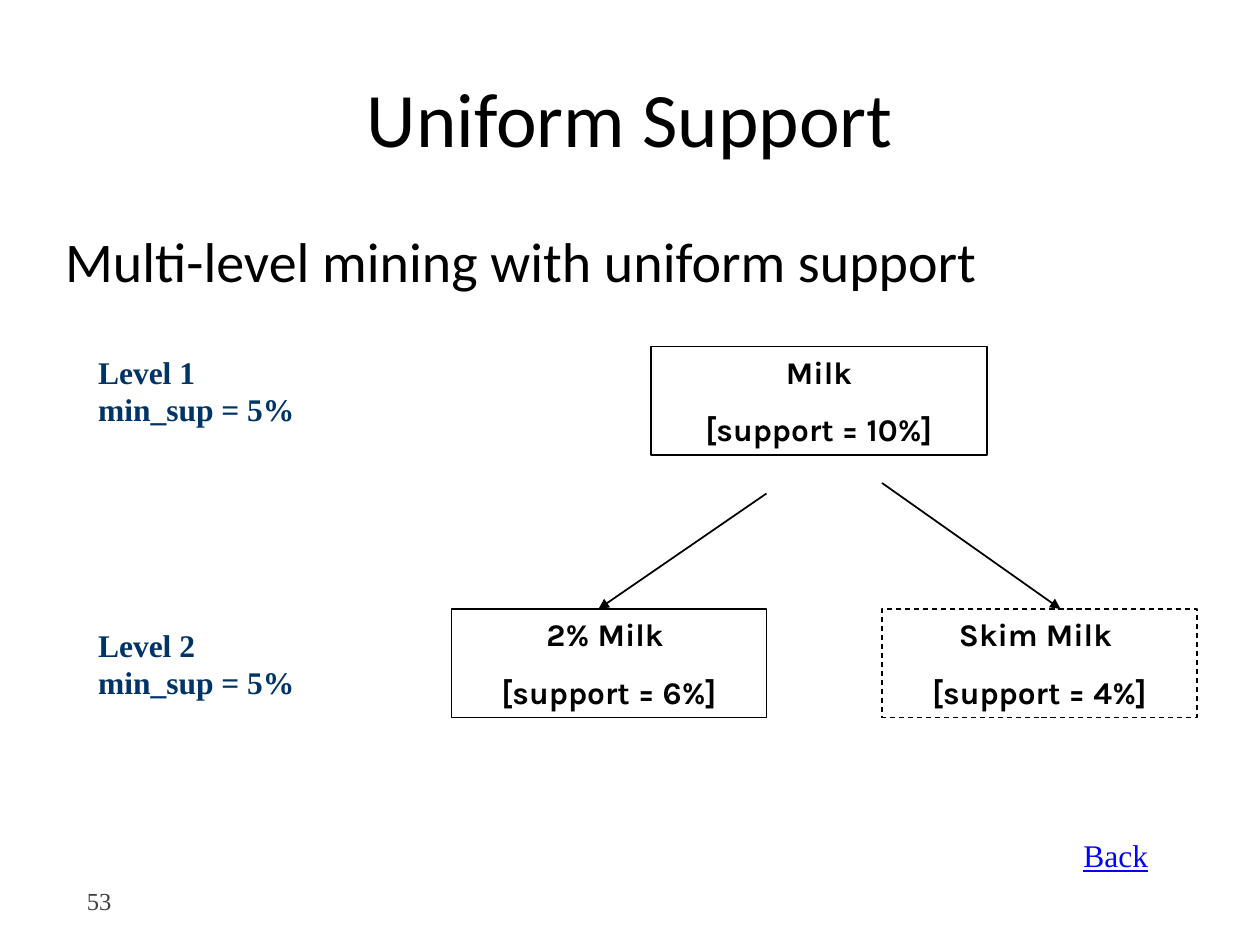
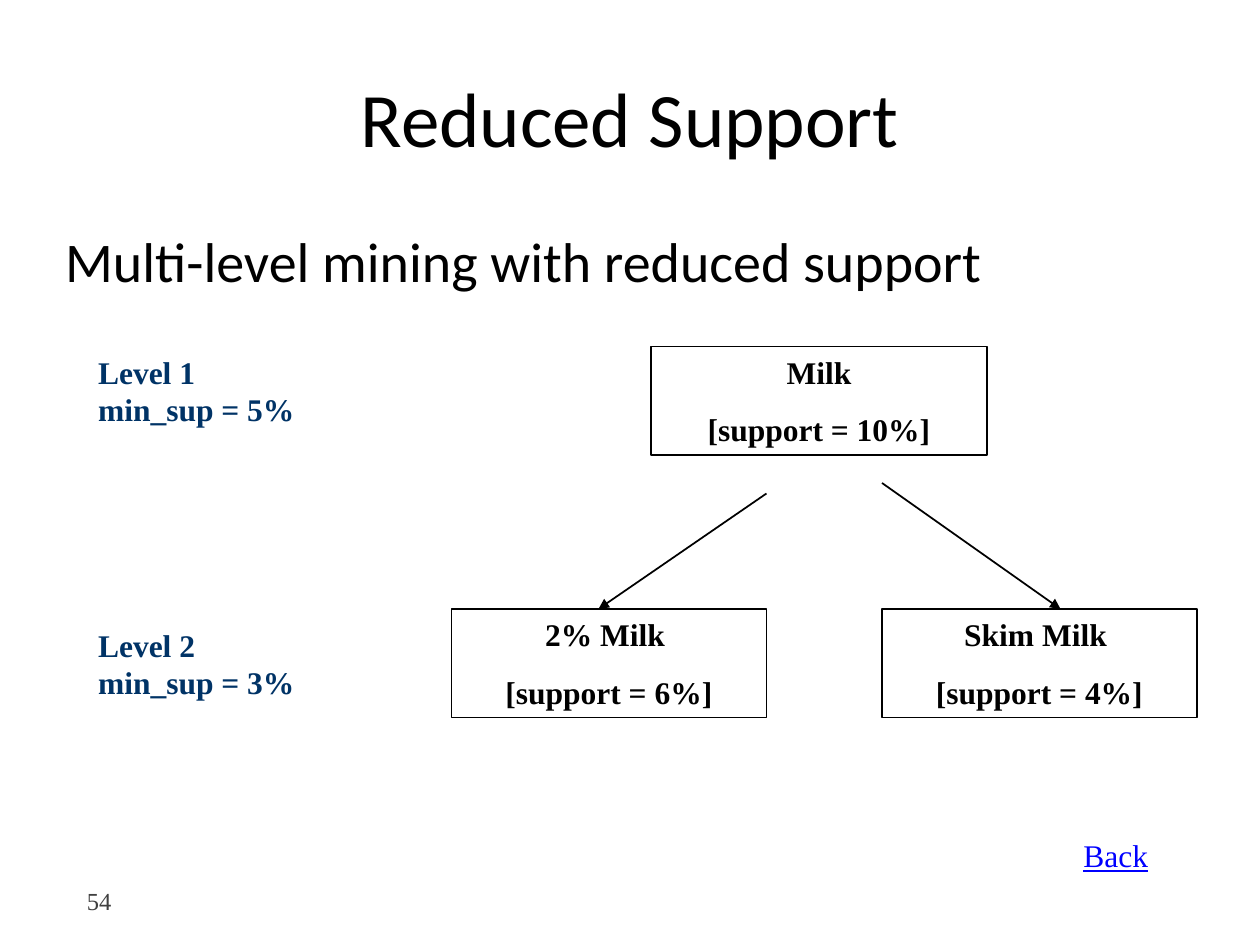
"""Build two slides comparing uniform and reduced support in multi-level mining."""

import dataclasses
import typing

import lxml.etree
import pptx
import pptx.dml.color
import pptx.enum.dml
import pptx.enum.shapes
import pptx.enum.text
import pptx.oxml.ns
import pptx.util

Pt = pptx.util.Pt
ALIGN = pptx.enum.text.PP_ALIGN
FIT = pptx.enum.text.MSO_AUTO_SIZE
ANCHOR = pptx.enum.text.MSO_ANCHOR
qn = pptx.oxml.ns.qn

BLACK = pptx.dml.color.RGBColor(0x00, 0x00, 0x00)
WHITE = pptx.dml.color.RGBColor(0xFF, 0xFF, 0xFF)
NAVY = pptx.dml.color.RGBColor(0x00, 0x33, 0x66)
LINK_BLUE = pptx.dml.color.RGBColor(0x00, 0x00, 0xFF)
GREY = pptx.dml.color.RGBColor(0x40, 0x40, 0x40)

SERIF = "Times New Roman"
HEADING = "Calibri"
KARLA = "Karla"

NODE_HEIGHT = 62
CHILD_TOP = 348


@dataclasses.dataclass(frozen=True)
class Style:
    font: str
    size: float
    color: pptx.dml.color.RGBColor
    bold: bool = False
    underline: bool = False
    align: ALIGN = ALIGN.LEFT
    gap: float = 0


@dataclasses.dataclass(frozen=True)
class Node:
    name: str
    support: int
    left: float
    top: float
    width: float


@dataclasses.dataclass(frozen=True)
class Branch:
    start: tuple[float, float]
    end: tuple[float, float]


@dataclasses.dataclass(frozen=True)
class SupportSlide:
    number: int
    policy: str
    node_font: str
    min_supports: tuple[int, int]
    skim_is_pruned: bool


TITLE = Style(HEADING, 44, BLACK, align=ALIGN.CENTER)
BODY = Style(HEADING, 32, BLACK)
LEVEL = Style(SERIF, 18, NAVY, bold=True)
BACK = Style(SERIF, 18, LINK_BLUE, underline=True)
NUMBER = Style(SERIF, 14, GREY, align=ALIGN.RIGHT)

MILK = Node("Milk", 10, 372, 198, 192)
TWO_PERCENT = Node("2% Milk ", 6, 258, CHILD_TOP, 180)
SKIM = Node("Skim Milk ", 4, 504, CHILD_TOP, 180)
BRANCHES = (
    Branch((438, 282), (342, CHILD_TOP)),
    Branch((504, 276), (606, CHILD_TOP)),
)
LEVEL_TOPS = (198, 354)

SLIDES = (
    SupportSlide(53, "uniform", KARLA, (5, 5), True),
    SupportSlide(54, "reduced", SERIF, (5, 3), False),
)


def write(frame: typing.Any, lines: typing.Sequence[str], style: Style) -> None:
    """Write one styled run for each line, spacing the paragraphs apart."""
    for index, line in enumerate(lines):
        paragraph = frame.add_paragraph() if index else frame.paragraphs[0]
        paragraph.alignment = style.align
        paragraph.space_before = Pt(style.gap if index else 0)
        run = paragraph.add_run()
        run.text = line
        font = run.font
        font.name = style.font
        font.size = Pt(style.size)
        font.color.rgb = style.color
        font.bold = style.bold
        font.underline = style.underline


def place(shape: typing.Any, left: float, top: float, width: float, height: float) -> None:
    """Move and size a placeholder."""
    shape.left, shape.top = Pt(left), Pt(top)
    shape.width, shape.height = Pt(width), Pt(height)


def add_headings(slide: typing.Any, policy: str) -> None:
    """Fill the title and body placeholders."""
    title = slide.shapes.title
    place(title, 36, 21.6, 648, 90)
    title.text_frame.vertical_anchor = ANCHOR.MIDDLE
    write(title.text_frame, [f"{policy.capitalize()} Support"], TITLE)

    summary = slide.placeholders[1]
    place(summary, 30, 126, 660, 78)
    summary.text_frame.auto_size = FIT.NONE
    properties = summary.text_frame.paragraphs[0]._p.get_or_add_pPr()
    properties.set("marL", str(Pt(27)))
    properties.set("indent", str(Pt(-27)))
    lxml.etree.SubElement(properties, qn("a:buNone"))
    write(summary.text_frame, [f"Multi-level mining with {policy} support"], BODY)


def add_label(
    slide: typing.Any,
    lines: typing.Sequence[str],
    left: float,
    top: float,
    width: float,
    height: float,
    style: Style,
) -> typing.Any:
    """Add an unwrapped text box and return its text frame."""
    label = slide.shapes.add_textbox(Pt(left), Pt(top), Pt(width), Pt(height))
    frame = label.text_frame
    frame.word_wrap = False
    frame.auto_size = FIT.SHAPE_TO_FIT_TEXT
    write(frame, lines, style)
    return frame


def add_node(slide: typing.Any, node: Node, font: str, pruned: bool = False) -> None:
    """Add an item box, dashed and half transparent when pruned."""
    box = slide.shapes.add_shape(
        pptx.enum.shapes.MSO_SHAPE.RECTANGLE,
        Pt(node.left), Pt(node.top), Pt(node.width), Pt(NODE_HEIGHT),
    )
    box.shadow.inherit = False
    box.fill.solid()
    box.fill.fore_color.rgb = WHITE
    box.line.color.rgb = BLACK
    box.line.width = Pt(0.75)
    if pruned:
        box.line.dash_style = pptx.enum.dml.MSO_LINE.DASH
        white = box._element.spPr.find(qn("a:solidFill")).find(qn("a:srgbClr"))
        lxml.etree.SubElement(white, qn("a:alpha"), val="50000")
    frame = box.text_frame
    frame.word_wrap = True
    frame.auto_size = FIT.SHAPE_TO_FIT_TEXT
    frame.vertical_anchor = ANCHOR.TOP
    style = Style(font, 18, BLACK, bold=True, align=ALIGN.CENTER, gap=11.2)
    write(frame, [node.name, f"[support = {node.support}%]"], style)


def add_branch(slide: typing.Any, branch: Branch) -> None:
    """Add an arrow from the parent item to a child item."""
    arrow = slide.shapes.add_connector(
        pptx.enum.shapes.MSO_CONNECTOR.STRAIGHT,
        *(Pt(value) for value in branch.start + branch.end),
    )
    arrow.line.color.rgb = BLACK
    arrow.line.width = Pt(1)
    lxml.etree.SubElement(arrow.line._get_or_add_ln(), qn("a:tailEnd"), type="triangle")
    lxml.etree.SubElement(arrow._element.spPr, qn("a:effectLst"))


def add_support_slide(deck: typing.Any, content: SupportSlide) -> None:
    """Add one slide with its headings, item tree and level thresholds."""
    slide = deck.slides.add_slide(deck.slide_layouts[1])
    add_headings(slide, content.policy)
    number = add_label(slide, [str(content.number)], 33.4, 500.4, 37.4, 28.8, NUMBER)
    number.word_wrap = True
    number.auto_size = FIT.NONE
    number.vertical_anchor = ANCHOR.MIDDLE

    add_node(slide, MILK, content.node_font)
    add_node(slide, TWO_PERCENT, content.node_font)
    add_node(slide, SKIM, content.node_font, content.skim_is_pruned)
    for branch in BRANCHES:
        add_branch(slide, branch)
    for level, (top, minimum) in enumerate(zip(LEVEL_TOPS, content.min_supports), 1):
        lines = [f"Level {level}", f"min_sup = {minimum}%"]
        add_label(slide, lines, 49, top, 128, 50.4, LEVEL)
    add_label(slide, ["Back"], 612, 474, 54, 28.8, BACK)


def main() -> None:
    """Build and save the presentation."""
    deck = pptx.Presentation()
    deck.slide_width, deck.slide_height = Pt(720), Pt(540)
    for content in SLIDES:
        add_support_slide(deck, content)
    deck.save("out.pptx")


if __name__ == "__main__":
    main()
